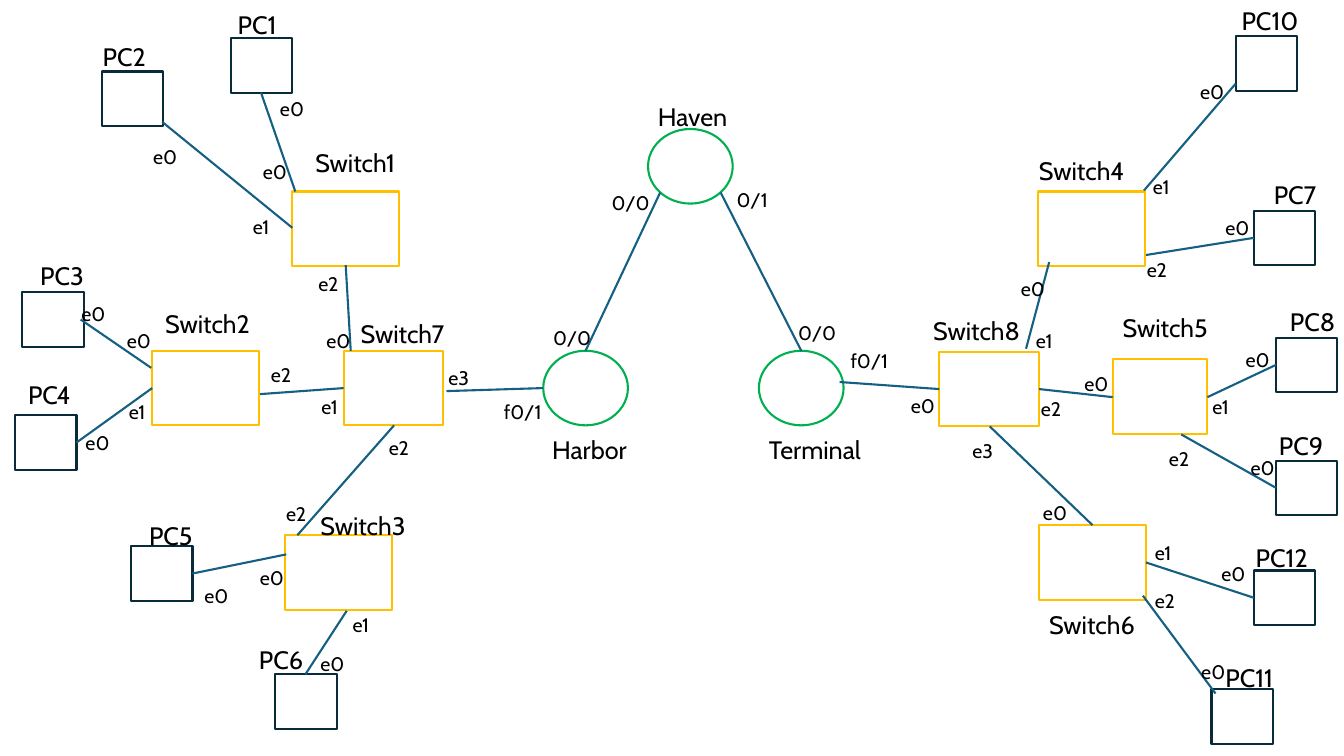
from pptx import Presentation
from pptx.dml.color import RGBColor
from pptx.enum.shapes import MSO_CONNECTOR, MSO_SHAPE
from pptx.enum.text import MSO_AUTO_SIZE
from pptx.oxml.ns import qn
from pptx.util import Cm, Pt

OVAL, RECT = MSO_SHAPE.OVAL, MSO_SHAPE.RECTANGLE
STRAIGHT = MSO_CONNECTOR.STRAIGHT
FIT_SHAPE = MSO_AUTO_SIZE.SHAPE_TO_FIT_TEXT
GREEN = RGBColor(0x00, 0xB0, 0x50)
AMBER = RGBColor(0xFF, 0xC0, 0x00)
NAVY = RGBColor(0x09, 0x2A, 0x39)
BLUE = RGBColor(0x15, 0x60, 0x82)
BLACK = RGBColor(0x00, 0x00, 0x00)
CM_PER_INCH = 2.54
LINE_WIDTH = Pt(1.5)


def lengths(*inches):
    return [Cm(v * CM_PER_INCH) for v in inches]


def add_label(text, x, y, w, h, size):
    tf = s.shapes.add_textbox(*lengths(x, y, w, h)).text_frame
    tf.word_wrap = True
    tf.auto_size = FIT_SHAPE
    tf.text = text
    font = tf.paragraphs[0].runs[0].font
    font.name, font.size = "Cabin", Pt(size)
    font.color.rgb = BLACK


prs = Presentation()
prs.slide_width, prs.slide_height = Cm(33.87), Cm(19.05)
s = prs.slides.add_slide(prs.slide_layouts[6])

# name, node left, top, width, height, label left, top, width
routers = [
    ("Haven", 6.43, 1.28, 0.84, 0.74, 6.43, 0.96, 1.06),
    ("Terminal", 7.53, 3.48, 0.84, 0.74, 7.53, 4.26, 1.22),
    ("Harbor", 5.39, 3.48, 0.84, 0.74, 5.38, 4.26, 1.06),
]
switches = [
    ("Switch7", 3.41, 3.48, 0.99, 0.74, 3.48, 3.11, 1.15),
    ("Switch8", 9.32, 3.49, 0.99, 0.74, 9.16, 3.08, 1.15),
    ("Switch1", 2.9, 1.9, 1.06, 0.74, 3.03, 1.41, 1.15),
    ("Switch2", 1.51, 3.48, 1.06, 0.74, 1.54, 3.01, 1.15),
    ("Switch3", 2.83, 5.31, 1.06, 0.74, 3.08, 5.01, 1.15),
    ("Switch5", 11.04, 3.56, 0.94, 0.75, 11.04, 3.05, 1.15),
    ("Switch4", 10.3, 1.9, 1.06, 0.74, 10.21, 1.49, 1.15),
    ("Switch6", 10.31, 5.21, 1.06, 0.74, 10.31, 6, 1.15),
]
pcs = [
    ("PC1", 2.29, 0.38, 0.61, 0.54, 2.26, 0.04, 0.78),
    ("PC2", 1.01, 0.71, 0.61, 0.54, 0.92, 0.36, 0.69),
    ("PC3", 0.22, 2.9, 0.61, 0.54, 0.3, 2.53, 0.76),
    ("PC4", 0.15, 4.12, 0.61, 0.54, 0.18, 3.71, 0.7),
    ("PC5", 1.3, 5.42, 0.61, 0.54, 1.38, 5.11, 0.79),
    ("PC6", 2.73, 6.69, 0.61, 0.54, 2.47, 6.34, 0.72),
    ("PC10", 12.26, 0.36, 0.61, 0.54, 12.22, 0, 0.91),
    ("PC7", 12.44, 2.09, 0.61, 0.54, 12.54, 1.73, 0.73),
    ("PC8", 12.66, 3.35, 0.61, 0.54, 12.7, 2.99, 0.82),
    ("PC9", 12.66, 4.57, 0.61, 0.54, 12.59, 4.22, 0.82),
    ("PC12", 12.44, 5.66, 0.61, 0.54, 12.36, 5.33, 0.81),
    ("PC11", 12.02, 6.84, 0.61, 0.54, 12.06, 6.52, 0.86),
]
for nodes, outline, color in ((routers, OVAL, GREEN), (switches, RECT, AMBER), (pcs, RECT, NAVY)):
    for name, x, y, w, h, label_x, label_y, label_w in nodes:
        sp = s.shapes.add_shape(outline, *lengths(x, y, w, h))
        sp.shadow.inherit = False
        sp.fill.background()
        sp.line.color.rgb = color
        sp.line.width = LINE_WIDTH
        add_label(name, label_x, label_y, label_w, 0.4, 18)

links = [
    (6.55, 1.91, 5.81, 3.48), (7.15, 1.91, 7.95, 3.48),
    (5.39, 3.85, 4.43, 3.88), (9.32, 3.86, 8.33, 3.79),
    (3.43, 2.63, 3.48, 3.48), (3.41, 3.85, 2.58, 3.91),
    (3.91, 4.22, 2.95, 5.31), (10.41, 2.6, 10.18, 3.46),
    (11.04, 3.94, 10.31, 3.86), (9.82, 4.23, 10.84, 5.21),
    (2.93, 1.9, 2.59, 0.92), (2.9, 2.26, 1.61, 1.21),
    (1.5, 3.65, 0.8, 3.17), (1.51, 3.85, 0.76, 4.39),
    (2.84, 5.5, 1.91, 5.69), (3.44, 6.06, 3.03, 6.69),
    (12.26, 0.83, 11.35, 1.89), (12.44, 2.36, 11.37, 2.53),
    (12.66, 3.62, 11.98, 3.94), (11.72, 4.31, 12.66, 4.84),
    (12.44, 5.93, 11.37, 5.58), (12.06, 6.88, 11.34, 5.91),
]
for ends in links:
    link = s.shapes.add_connector(STRAIGHT, *lengths(*ends))
    link.line.color.rgb = BLUE
    link.line.width = LINE_WIDTH
    effects = link._element.spPr.makeelement(qn("a:effectLst"), {})
    link._element.spPr.append(effects)

ports = [
    ("0/0", 0.59, [(5.97, 1.84), (5.39, 3.18)]),
    ("0/0", 1, [(7.82, 3.13)]),
    ("0/1", 1, [(7.21, 1.82)]),
    ("f0/1", 0.58, [(8.34, 3.41), (4.9, 3.92)]),
    ("e0", 1, [(8.94, 3.86)]),
    ("e0", 0.44, [
        (10.66, 3.64), (10.25, 4.92), (10.03, 2.7), (11.82, 6.5), (12.02, 5.53),
        (12.31, 4.47), (12.26, 3.4), (12.06, 2.09), (11.81, 0.74), (2.68, 0.91),
        (1.42, 1.39), (0.71, 2.95), (0.75, 4.23), (1.16, 3.21), (1.93, 5.74),
        (3.08, 6.42), (2.48, 5.57), (3.14, 3.21), (2.51, 1.54),
    ]),
    ("e1", 0.44, [
        (10.18, 3.21), (11.93, 3.87), (11.34, 1.69), (3.4, 6.03),
        (3.09, 3.87), (1.18, 3.92), (2.41, 2.08), (11.36, 5.32),
    ]),
    ("e2", 0.44, [
        (10.23, 3.89), (11.28, 2.51), (2.59, 3.55), (2.74, 4.93),
        (3.76, 4.28), (3.06, 2.65), (11.5, 4.38), (11.36, 5.79),
    ]),
    ("e3", 0.44, [(9.55, 4.31), (4.35, 3.58)]),
]
for port, width, places in ports:
    for x, y in places:
        add_label(port, x, y, width, 0.34, 14)

prs.save("out.pptx")
